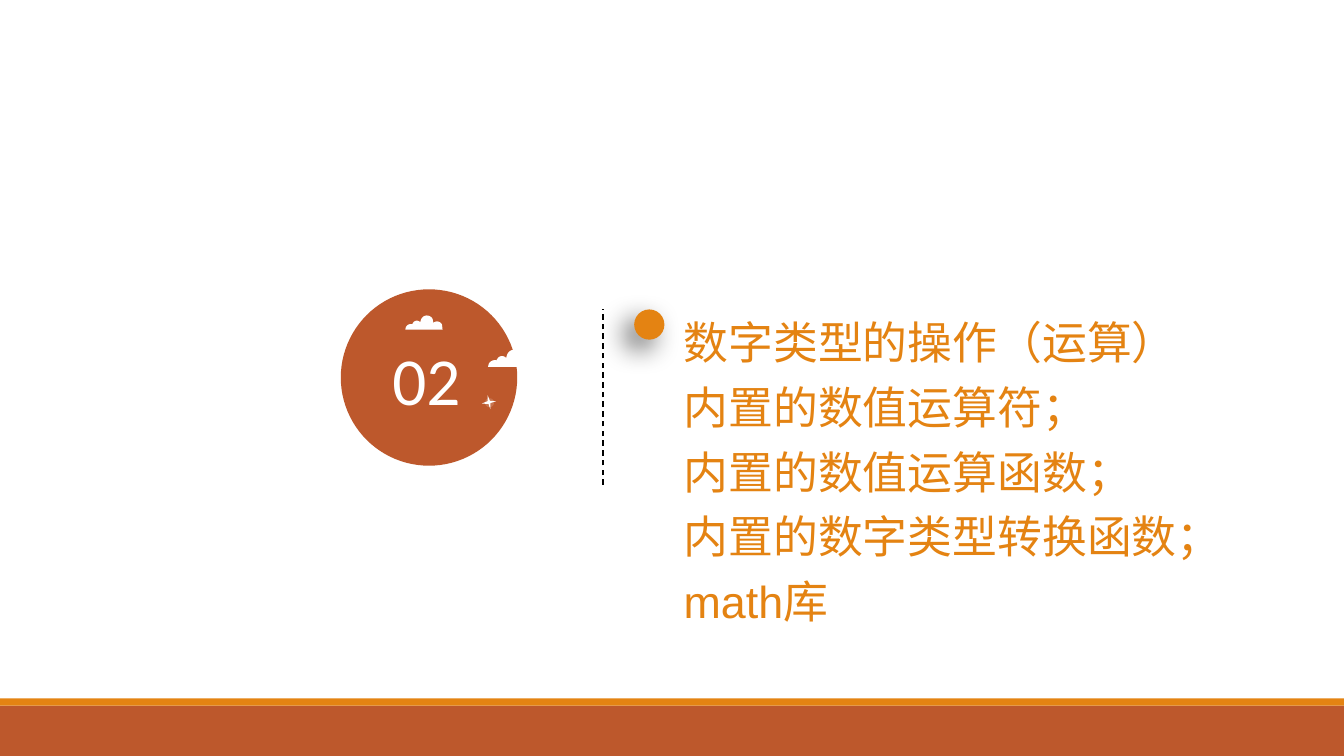
from dataclasses import dataclass
from math import sqrt

from lxml.etree import SubElement
from pptx import Presentation
from pptx.dml.color import RGBColor
from pptx.enum.dml import MSO_LINE
from pptx.enum.shapes import MSO_CONNECTOR, MSO_SHAPE
from pptx.enum.text import MSO_ANCHOR, MSO_AUTO_SIZE, PP_ALIGN
from pptx.oxml.ns import qn
from pptx.util import Inches, Pt


@dataclass(frozen=True)
class Theme:
    rust: str = "BD582C"
    orange: str = "E48312"
    white: str = "FFFFFF"
    black: str = "000000"
    number_font: str = "Calibri"
    list_font: str = "Arial"
    number_size: int = 48
    list_size: int = 32


THEME = Theme()
TOPICS = ["数字类型的操作（运算）", "内置的数值运算符；", "内置的数值运算函数；",
          "内置的数字类型转换函数；", "math库"]
# Centre x, centre y and radius of each lobe, as shares of the cloud's width
CLOUD_LOBES = [(0.15, 0.38, 0.15), (0.31, 0.26, 0.12),
               (0.58, 0.17, 0.17), (0.85, 0.31, 0.15)]
CLOUD_BASE = 0.38
STAR = [(0.6, 1), (0.6, 0.57), (1, 0.43), (0.57, 0.4),
        (0.4, 0), (0.4, 0.43), (0, 0.6), (0.47, 0.63)]


def paint(shape, color):
    shape.fill.solid()
    shape.fill.fore_color.rgb = RGBColor.from_string(color)
    shape.line.fill.background()
    shape.shadow.inherit = False
    return shape


def add_preset(s, kind, color, *box):
    return paint(s.shapes.add_shape(kind, *map(Inches, box)), color)


def add_outline(s, points, x, y, size):
    """Draw a white closed outline from points given as shares of size."""
    pts = [(Inches(x + px * size), Inches(y + py * size)) for px, py in points]
    builder = s.shapes.build_freeform(*pts[0])
    builder.add_line_segments(pts[1:], close=True)
    paint(builder.convert_to_shape(), THEME.white)


def add_cloud(s, x, y, width, steps=60):
    """Trace the upper edge of overlapping lobes above a flat base."""
    points = [(0, CLOUD_BASE)]
    for i in range(steps + 1):
        px = i / steps
        tops = [cy - sqrt(r * r - (px - cx) ** 2)
                for cx, cy, r in CLOUD_LOBES if abs(px - cx) <= r]
        points.append((px, min(tops + [CLOUD_BASE])))
    add_outline(s, points + [(1, CLOUD_BASE)], x, y, width)


def add_alpha(fill_color, percent):
    SubElement(fill_color, qn("a:alpha"), val=str(percent * 1000))


def fill_text(shape, box, lines, font, para, anchor, inset=(0, 0)):
    names = ("left", "top", "width", "height")
    for name, value in zip(names, box):
        setattr(shape, name, Inches(value))
    tf = shape.text_frame
    dx, dy = map(Inches, inset)
    frame = dict(word_wrap=True, auto_size=MSO_AUTO_SIZE.NONE,
                 vertical_anchor=anchor, margin_left=dx, margin_right=dx,
                 margin_top=dy, margin_bottom=dy)
    for name, value in frame.items():
        setattr(tf, name, value)
    color = font["color"]
    for i, line in enumerate(lines):
        p = tf.paragraphs[0] if i == 0 else tf.add_paragraph()
        for name, value in para.items():
            setattr(p, name, value)
        pPr = p._p.get_or_add_pPr()
        pPr.set("marL", "0")
        pPr.set("indent", "0")
        SubElement(pPr, qn("a:buNone"))
        r = p.add_run()
        r.text = line
        r.font.name, r.font.size = font["name"], Pt(font["size"])
        r.font.color.rgb = RGBColor.from_string(color)


def add_footer(s, x, y, w, h, stripe=0.07):
    add_preset(s, MSO_SHAPE.RECTANGLE, THEME.rust, x, y + stripe, w, h - stripe)
    add_preset(s, MSO_SHAPE.RECTANGLE, THEME.orange, x, y, w, stripe)


def add_badge(s, x, y, size):
    add_preset(s, MSO_SHAPE.OVAL, THEME.rust, x, y, size, size)
    number = s.shapes.title
    s.shapes._spTree.append(number._element)
    fill_text(number, (x + 0.3, y + 0.48, 1.1, 0.81), ["02"],
              dict(name=THEME.number_font, size=THEME.number_size,
                   color=THEME.white),
              dict(alignment=PP_ALIGN.CENTER), MSO_ANCHOR.MIDDLE)
    add_cloud(s, x + 1.46, y + 0.6, 0.45)
    add_cloud(s, x + 0.64, y + 0.26, 0.37)
    add_outline(s, STAR, x + 1.4, y + 1.05, 0.14)
    glow = add_preset(s, MSO_SHAPE.OVAL, THEME.white,
                      x + 1.43, y + 1.08, 0.09, 0.09)
    add_alpha(glow._element.spPr.find(".//" + qn("a:srgbClr")), 17)


def add_divider(s, x, y, height):
    line = s.shapes.add_connector(MSO_CONNECTOR.STRAIGHT, Inches(x),
                                  Inches(y + height), Inches(x), Inches(y))
    line.line.color.rgb = RGBColor.from_string(THEME.black)
    line.line.width = Pt(1)
    line.line.dash_style = MSO_LINE.DASH
    SubElement(line._element.spPr, qn("a:effectLst"))


def add_topics(s, x, y, w, h):
    fill_text(s.placeholders[1], (x + 0.39, y, w - 0.39, h), TOPICS,
              dict(name=THEME.list_font, size=THEME.list_size,
                   color=THEME.orange),
              dict(alignment=PP_ALIGN.LEFT, line_spacing=1.2,
                   space_before=Pt(0)),
              MSO_ANCHOR.TOP, (0.1, 0.05))
    dot = add_preset(s, MSO_SHAPE.OVAL, THEME.orange, x, y + 0.1, 0.3, 0.3)
    effects = dot._element.spPr.find(qn("a:effectLst"))
    shadow = SubElement(effects, qn("a:outerShdw"), blurRad=str(Pt(20)),
                        dist=str(Pt(10)), dir=str(135 * 60000),
                        algn="tr", rotWithShape="0")
    add_alpha(SubElement(shadow, qn("a:srgbClr"), val=THEME.black), 60)


def main():
    prs = Presentation()
    prs.slide_width, prs.slide_height = Inches(13.33), Inches(7.5)
    s = prs.slides.add_slide(prs.slide_layouts[1])
    add_footer(s, 0, 6.93, 13.33, 0.57)
    add_badge(s, 3.38, 2.87, 1.75)
    add_divider(s, 5.98, 3.07, 1.74)
    add_topics(s, 6.29, 2.97, 5.98, 3.28)
    prs.save("out.pptx")


if __name__ == "__main__":
    main()
